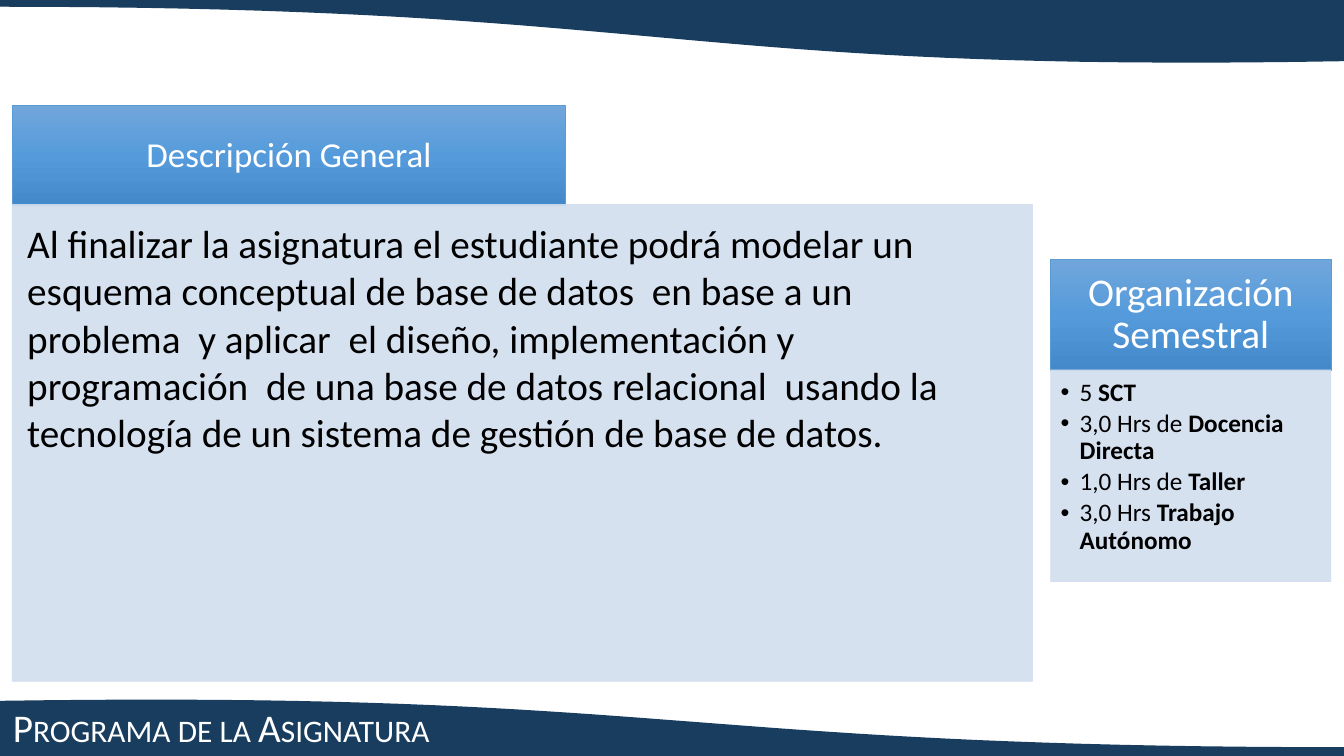
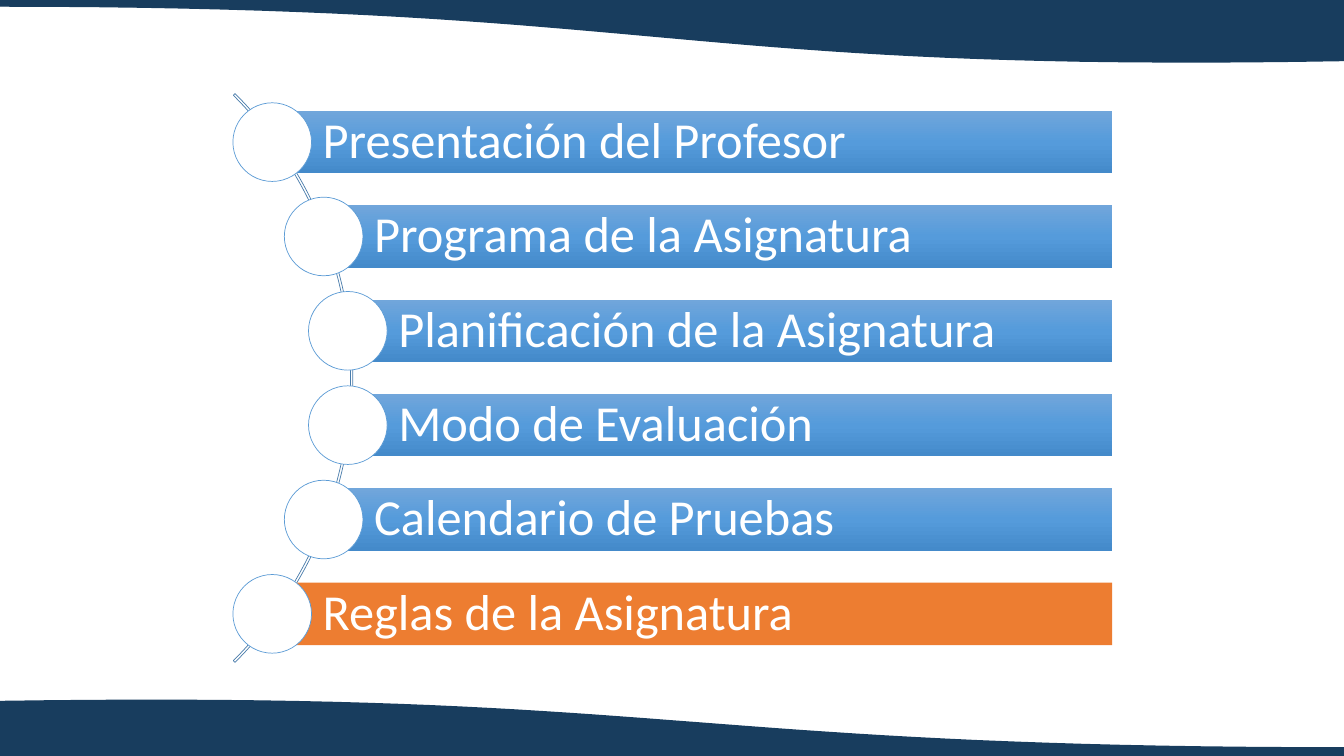
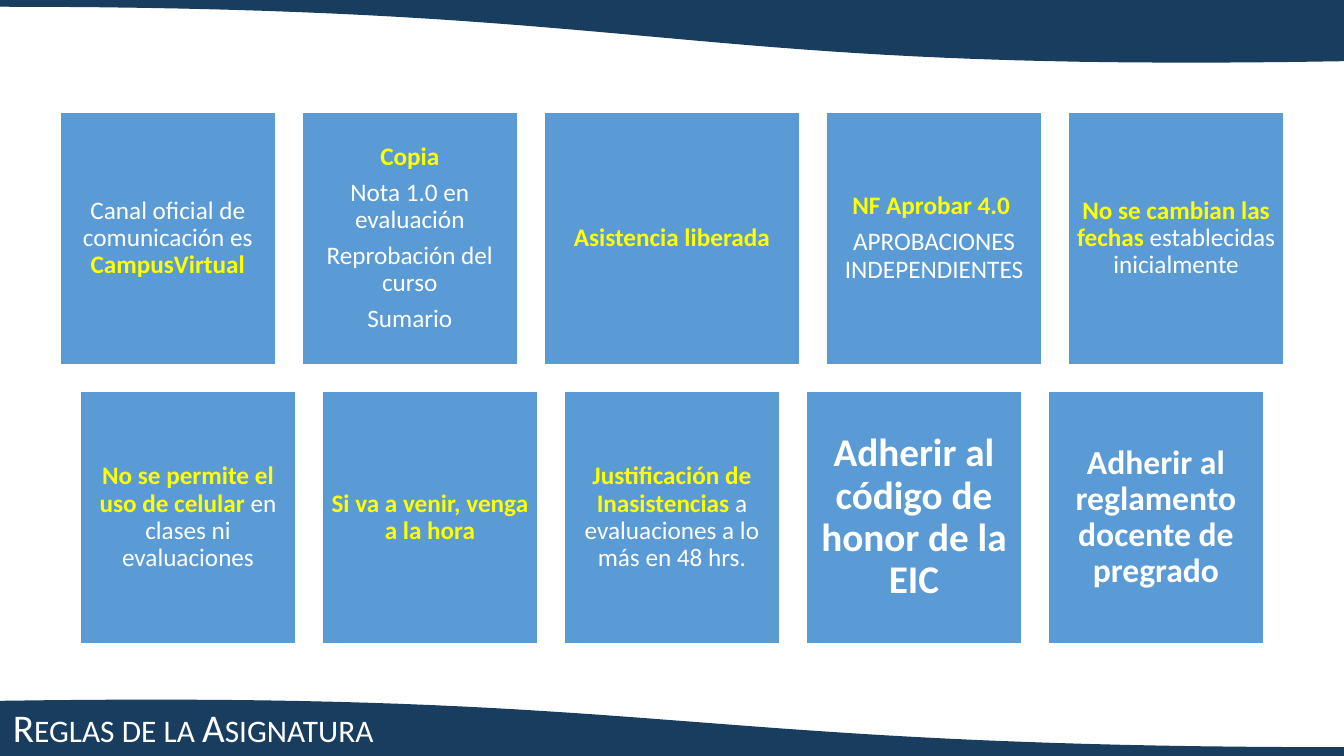
from copy import deepcopy

from lxml import etree
from pptx import Presentation
from pptx.dml.color import RGBColor
from pptx.enum import shapes, text
from pptx.oxml.ns import qn
from pptx.util import Inches, Pt

FONT = "Calibri"
NAVY, BLUE, PALE, ORANGE = "183D5E", "5B9BD5", "D2DEEF", "ED7D31"
WHITE, BLACK, YELLOW = "FFFFFF", "000000", "FFFF00"
GRADIENT = [(0, "71A6DB"), (0.5, "559BDB"), (1, "448ACA")]

BANDS = [
    (-0.03, (0.06, 0.06, 0.72, 0.6)),
    (7.5, (6.96, 6.86, 7.42, 7.42)),
]

COURSE_TITLE = "Programa de la Asignatura"
DESCRIPTION = (
    "Al finalizar la asignatura el estudiante podrá modelar un esquema conceptual "
    "de base de datos  en base a un problema  y aplicar  el diseño, implementación "
    "y programación  de una base de datos relacional  usando la tecnología de un "
    "sistema de gestión de base de datos."
)
HOURS = [
    [("5 ", BLACK, False), ("SCT", BLACK, True)],
    [("3,0 Hrs de ", BLACK, False), ("Docencia Directa", BLACK, True)],
    [("1,0 Hrs de ", BLACK, False), ("Taller", BLACK, True)],
    [("3,0 Hrs ", BLACK, False), ("Trabajo Autónomo", BLACK, True)],
]

AGENDA = [
    ("Presentación del Profesor", 2.7),
    ("Programa de la Asignatura", 3.21),
    ("Planificación de la Asignatura", 3.45),
    ("Modo de Evaluación", 3.45),
    ("Calendario de Pruebas", 3.21),
    ("Reglas de la Asignatura", 2.7),
]
CURRENT = "Reglas de la Asignatura"


def plain(words, color=WHITE):
    return (words, color, False)


def key(words, color=YELLOW):
    return (words, color, True)


RULES_TITLE = "Reglas de la Asignatura"
RULES = [
    [
        (2.14, 18, 0.07, [[plain("Canal oficial de comunicación es "), key("CampusVirtual")]]),
        (2.14, 18, 0.07, [[key("Copia")], [plain("Nota 1.0 en evaluación")],
                          [plain("Reprobación del curso")], [plain("Sumario")]]),
        (2.54, 18, 0.07, [[key("Asistencia liberada")]]),
        (2.14, 18, 0.07, [[key("NF Aprobar 4.0 ")], [plain("APROBACIONES INDEPENDIENTES")]]),
        (2.14, 18, 0.07, [[key("No se cambian las fechas "), plain("establecidas inicialmente")]]),
    ],
    [
        (2.14, 18, 0.07, [[key("No se permite el uso de celular "),
                           plain("en clases ni evaluaciones")]]),
        (2.14, 18, 0.07, [[key("Si va a venir, venga a la hora")]]),
        (2.14, 18, 0.07, [[key("Justificación de Inasistencias "),
                           plain("a evaluaciones a lo más en 48 hrs.")]]),
        (2.14, 28, 0.12, [[key("Adherir al código de honor de la EIC", WHITE)]]),
        (2.14, 24, 0.1, [[key("Adherir al reglamento docente de pregrado", WHITE)]]),
    ],
]


def rgb(value):
    return RGBColor.from_string(value)


def paint(sp, fill=None, line=None, width=0.5):
    sp.shadow.inherit = False
    if fill == GRADIENT:
        sp.fill.gradient()
        sp.fill.gradient_angle = 270
        stops = sp._element.spPr.find(qn("a:gradFill")).find(qn("a:gsLst"))
        stops.insert(1, deepcopy(stops[0]))
        for stop, (position, color) in zip(sp.fill.gradient_stops, GRADIENT):
            stop.position = position
            stop.color.rgb = rgb(color)
    elif fill:
        sp.fill.solid()
        sp.fill.fore_color.rgb = rgb(fill)
    else:
        sp.fill.background()
    if line:
        sp.line.color.rgb = rgb(line)
        sp.line.width = Pt(width)
    else:
        sp.line.fill.background()


def add_box(slide, at, fill=None, line=None, width=0.5, kind=shapes.MSO_SHAPE.RECTANGLE):
    sp = slide.shapes.add_shape(kind, *map(Inches, at))
    paint(sp, fill, line, width)
    return sp


def make_translucent(sp):
    for color in sp._element.spPr.iter(qn("a:srgbClr")):
        etree.SubElement(color, qn("a:alpha"), val="90000")


def add_bullet(p):
    pPr = p._p.get_or_add_pPr()
    pPr.set("marL", str(Inches(0.19)))
    pPr.set("indent", str(-Inches(0.19)))
    etree.SubElement(pPr, qn("a:buFont"), typeface="Arial")
    etree.SubElement(pPr, qn("a:buChar"), char="•")


def write(sp, paragraphs, size, insets, align="CENTER", anchor="MIDDLE",
          spacing=0.9, after=0.35, bullets=False):
    tf = sp.text_frame
    tf.word_wrap = True
    tf.vertical_anchor = getattr(text.MSO_ANCHOR, anchor)
    tf.margin_left, tf.margin_top, tf.margin_right, tf.margin_bottom = map(Inches, insets)
    for i, runs in enumerate(paragraphs):
        p = tf.add_paragraph() if i else tf.paragraphs[0]
        if bullets:
            add_bullet(p)
        p.alignment = getattr(text.PP_ALIGN, align)
        p.line_spacing = spacing
        p.space_after = Pt(round(size * after, 1))
        for words, color, bold in runs:
            r = p.add_run()
            r.text = words
            r.font.name = FONT
            r.font.size = Pt(size)
            r.font.bold = bold
            r.font.color.rgb = rgb(color)


def curve(heights, steps=40):
    xs = (0, 6.67, 6.67, 13.33)
    for i in range(steps + 1):
        t = i / steps
        weights = ((1 - t) ** 3, 3 * t * (1 - t) ** 2, 3 * t * t * (1 - t), t ** 3)
        yield tuple(Inches(sum(w * v for w, v in zip(weights, values)))
                    for values in (xs, heights))


def new_slide(prs, title=None):
    slide = prs.slides.add_slide(prs.slide_layouts[6])
    for edge, heights in BANDS:
        builder = slide.shapes.build_freeform(Inches(0), Inches(edge))
        builder.add_line_segments([*curve(heights), (Inches(13.33), Inches(edge))])
        paint(builder.convert_to_shape(), NAVY, NAVY, 1)
    if title:
        sp = slide.shapes.add_textbox(*map(Inches, (0.03, 6.99, 6.75, 0.49)))
        write(sp, [[plain(title)]], 28, (0.1, 0.05, 0.1, 0.05), "LEFT", after=0)
        sp.text_frame.paragraphs[0].runs[0].font._element.set("cap", "small")
    return slide


def build_course(prs):
    slide = new_slide(prs, COURSE_TITLE)
    heading = add_box(slide, (10.42, 2.57, 2.78, 1.1), GRADIENT, BLUE)
    write(heading, [[plain("Organización Semestral")]], 28, (0.22, 0.12, 0.22, 0.12))
    hours = add_box(slide, (10.42, 3.67, 2.78, 2.1), PALE, PALE)
    write(hours, HOURS, 18, (0.1, 0.1, 0.14, 0.16), "LEFT", "TOP", after=0.15, bullets=True)
    heading = add_box(slide, (0.12, 1.05, 5.49, 0.99), GRADIENT, BLUE)
    write(heading, [[plain("Descripción General")]], 25, (0.19, 0.11, 0.19, 0.11))
    description = add_box(slide, (0.12, 2.03, 10.12, 4.73), PALE, PALE)
    write(description, [[plain(DESCRIPTION, BLACK)]], 28, (0.15, 0.15, 0.19, 0.22),
          "LEFT", "TOP", spacing=1, after=0)
    for panel in (hours, description):
        make_translucent(panel)


def build_agenda(prs):
    slide = new_slide(prs)
    arc = add_box(slide, (-4.48, -0.24, 7.98, 7.98), line="497CAB",
                  kind=shapes.MSO_SHAPE.BLOCK_ARC)
    for i, value in enumerate((189, 27, 0.003)):
        arc.adjustments[i] = value
    right, height, diameter = 11.03, 0.62, 0.78
    first, last = 1.41, 6.09
    step = (last - first) / (len(AGENDA) - 1)
    for i, (topic, left) in enumerate(AGENDA):
        middle = first + i * step
        bar = add_box(slide, (left, middle - height / 2, right - left, height),
                      ORANGE if topic == CURRENT else GRADIENT)
        write(bar, [[plain(topic)]], 36, (0.5, 0.1, 0.1, 0.1), "LEFT")
        add_box(slide, (left - diameter / 2, middle - diameter / 2, diameter, diameter),
                WHITE, BLUE, kind=shapes.MSO_SHAPE.OVAL)


def build_rules(prs):
    slide = new_slide(prs, RULES_TITLE)
    top, height, gap = 1.11, 2.51, 0.26
    for row, cards in enumerate(RULES):
        total = sum(card[0] for card in cards) + gap * (len(cards) - 1)
        left = (13.33 - total) / 2
        for width, size, inset, paragraphs in cards:
            card = add_box(slide, (left, top + row * (height + gap), width, height),
                           BLUE, WHITE, 1)
            write(card, paragraphs, size, (inset,) * 4)
            left += width + gap


def main():
    prs = Presentation()
    prs.slide_width, prs.slide_height = Inches(13.33), Inches(7.5)
    build_course(prs)
    build_agenda(prs)
    build_rules(prs)
    prs.save("out.pptx")


if __name__ == "__main__":
    main()
